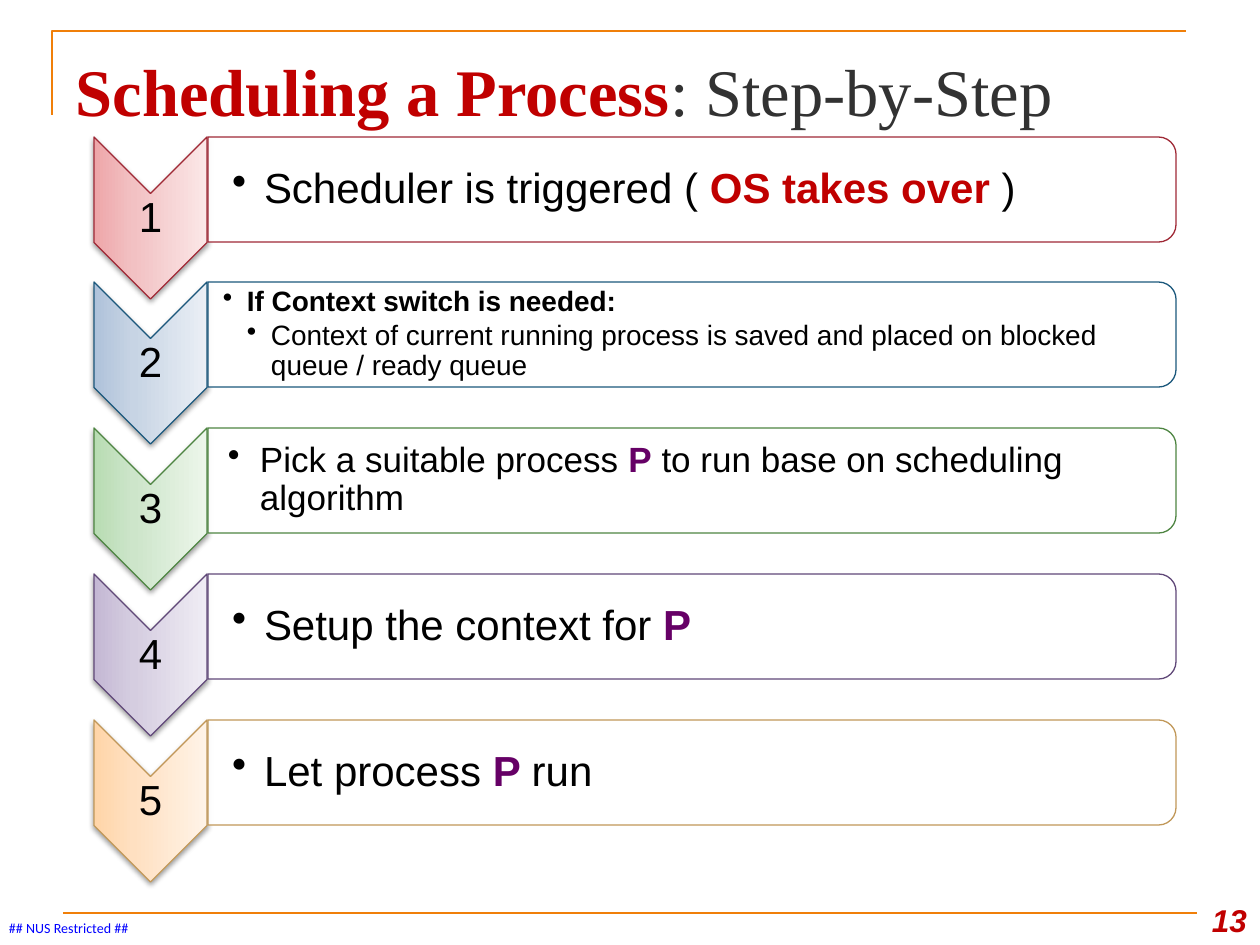
"""Build the slide on scheduling a process, step by step."""
from lxml import etree
from pptx import Presentation
from pptx import util as u
from pptx.dml.color import RGBColor
from pptx.enum import shapes, text
from pptx.oxml import ns, parse_xml

SCALE = 914400 / 126
BLACK = RGBColor(0, 0, 0)
WHITE = RGBColor(255, 255, 255)
RED = RGBColor(0xC0, 0x00, 0x00)
PURPLE = RGBColor(0x66, 0x00, 0x66)
ORANGE = RGBColor(0xF0, 0x7F, 0x09)
BLUE = RGBColor(0x00, 0x00, 0xFF)
GREY = RGBColor(0x32, 0x32, 0x32)
MAROON = RGBColor(0x9F, 0x29, 0x36)
TEAL = RGBColor(0x1B, 0x58, 0x7C)
GREEN = RGBColor(0x4E, 0x85, 0x42)
VIOLET = RGBColor(0x60, 0x48, 0x78)
TAN = RGBColor(0xC1, 0x98, 0x59)
GRADIENTS = {
    MAROON: (RGBColor(0xEE, 0xA6, 0xA9), RGBColor(0xF2, 0xC1, 0xC3), RGBColor(0xFB, 0xE7, 0xE7)),
    TEAL: (RGBColor(0xAF, 0xC2, 0xDA), RGBColor(0xC7, 0xD4, 0xE4), RGBColor(0xEA, 0xEF, 0xF5)),
    GREEN: (RGBColor(0xB8, 0xDC, 0xB3), RGBColor(0xCD, 0xE5, 0xCA), RGBColor(0xEC, 0xF6, 0xEA)),
    VIOLET: (RGBColor(0xC4, 0xB8, 0xD4), RGBColor(0xD5, 0xCD, 0xE0), RGBColor(0xEF, 0xEC, 0xF4)),
    TAN: (RGBColor(0xFF, 0xD5, 0xA8), RGBColor(0xFF, 0xE0, 0xC1), RGBColor(0xFF, 0xF3, 0xE7)),
}
KEY = {"bold": True, "color": PURPLE}
LARGE = {"size": 24, "inset": 24, "edge": 2, "indent": 32}
MEDIUM = {"size": 20, "inset": 20, "edge": 1, "indent": 32}
SMALL = {"size": 16, "inset": 15, "edge": 1, "indent": 24}
STEPS = [
    (MAROON, LARGE, [[("Scheduler is triggered ( ", {}),
                      ("OS takes over ", {"bold": True, "color": RED}), (")", {})]]),
    (TEAL, SMALL, [[("If Context switch is needed:", {"bold": True})],
                   [("Context of current running process is saved and placed on "
                     "blocked queue / ready queue", {})]]),
    (GREEN, MEDIUM, [[("Pick a suitable process ", {}), ("P", KEY),
                      (" to run base on scheduling algorithm", {})]]),
    (VIOLET, LARGE, [[("Setup the context for ", {}), ("P", KEY)]]),
    (TAN, LARGE, [[("Let process ", {}), ("P ", KEY), ("run", {})]]),
]
FIRST_TOP, ALL_PITCHES = 137, 583
ARROW_LEFT, ARROW_WIDTH, ARROW_LENGTH = 94, 113, 162
BOX_LEFT, BOX_WIDTH, BOX_HEIGHT = 208, 968, 105


def px(*lengths):
    """Turn pixel lengths into EMU."""
    return [u.Emu(round(length * SCALE)) for length in lengths]


def set_all(target, values):
    """Set each named attribute of the target."""
    for name, value in values.items():
        setattr(target, name, value)


def add_run(paragraph, words, size, color=BLACK, name="Arial", **values):
    """Add one formatted run."""
    run = paragraph.add_run()
    run.text = words
    set_all(run.font, {"size": u.Pt(size), "name": name, **values})
    run.font.color.rgb = color


def format_frame(frame, margins, anchor, wrap=True):
    """Set left, top, right and bottom insets, anchor and wrapping."""
    sides = ("margin_left", "margin_top", "margin_right", "margin_bottom")
    set_all(frame, {**dict(zip(sides, px(*margins))),
                    "vertical_anchor": anchor, "word_wrap": wrap})


def add_text(slide, box, margins, anchor=text.MSO_ANCHOR.MIDDLE, wrap=True):
    """Add a text box and return its frame."""
    frame = slide.shapes.add_textbox(*px(*box)).text_frame
    format_frame(frame, margins, anchor, wrap)
    return frame


def add_turned_shape(slide, kind, left, top, width, height, color):
    """Add a preset turned by a quarter that covers the given area."""
    turned_left = left + (width - height) / 2
    turned_top = top + (height - width) / 2
    shape = slide.shapes.add_shape(kind, *px(turned_left, turned_top, height, width))
    shape.rotation = 90
    shape.shadow.inherit = False
    shape.line.color.rgb = color
    shape.line.width = u.Pt(0.75)
    return shape


def add_arrow(slide, top, color, number):
    """Add a shaded downward chevron and its number."""
    shape = add_turned_shape(slide, shapes.MSO_SHAPE.CHEVRON, ARROW_LEFT, top,
                             ARROW_WIDTH, ARROW_LENGTH, color)
    shape.fill.background()
    stops = "".join(f'<a:gs pos="{place}"><a:srgbClr val="{stop}"/></a:gs>'
                    for place, stop in zip((0, 35000, 100000), GRADIENTS[color]))
    properties = shape.element.spPr
    properties.replace(properties.find(ns.qn("a:noFill")), parse_xml(
        f'<a:gradFill {ns.nsdecls("a")} rotWithShape="1"><a:gsLst>{stops}</a:gsLst>'
        '<a:lin ang="16200000" scaled="1"/></a:gradFill>'))
    properties.find(ns.qn("a:effectLst")).append(parse_xml(
        f'<a:outerShdw {ns.nsdecls("a")} blurRad="40000" dist="20000" dir="5400000" '
        'rotWithShape="0"><a:srgbClr val="000000"><a:alpha val="38000"/></a:srgbClr>'
        '</a:outerShdw>'))
    frame = add_text(slide, (ARROW_LEFT, top + 57, ARROW_WIDTH, 49), (2, 2, 2, 2))
    paragraph = frame.paragraphs[0]
    set_all(paragraph, {"alignment": text.PP_ALIGN.CENTER, "line_spacing": 0.9,
                        "space_after": u.Pt(8.4)})
    add_run(paragraph, str(number), 24)


def add_bullet(paragraph, level, indent):
    """Give the paragraph a hanging bullet at its level."""
    paragraph.level = level
    properties = paragraph._p.get_or_add_pPr()
    hang, margin = px(indent, indent * level)
    properties.set("marL", str(margin))
    properties.set("indent", str(-hang))
    etree.SubElement(properties, ns.qn("a:buChar"), char="•")


def add_box(slide, top, color, style, lines):
    """Add a rounded box and its bulleted text."""
    shape = add_turned_shape(slide, shapes.MSO_SHAPE.ROUND_2_SAME_RECTANGLE, BOX_LEFT, top,
                             BOX_WIDTH, BOX_HEIGHT, color)
    shape.fill.solid()
    shape.fill.fore_color.rgb = WHITE
    white = shape.element.spPr.find(ns.qn("a:solidFill"))[0]
    etree.SubElement(white, ns.qn("a:alpha"), val="90000")
    edge, size = style["edge"], style["size"]
    frame = add_text(slide, (BOX_LEFT, top + 5, BOX_WIDTH - 5, BOX_HEIGHT - 10),
                     (style["inset"], edge, edge, edge))
    for level, runs in enumerate(lines, 1):
        paragraph = frame.paragraphs[0] if level == 1 else frame.add_paragraph()
        add_bullet(paragraph, level, style["indent"])
        set_all(paragraph, {"line_spacing": 0.9, "space_after": u.Pt(size * 0.15)})
        for words, values in runs:
            add_run(paragraph, words, size, **values)


def add_rules(slide):
    """Add the corner rule above and the straight rule below."""
    builder = slide.shapes.build_freeform(*px(52, 115))
    builder.add_line_segments([px(52, 31), px(1186, 31)], close=False)
    corner = builder.convert_to_shape()
    corner.fill.background()
    corner.shadow.inherit = False
    rule = slide.shapes.add_connector(shapes.MSO_CONNECTOR.STRAIGHT, *px(63, 913, 1197, 913))
    etree.SubElement(rule.element.spPr, ns.qn("a:effectLst"))
    for shape in (corner, rule):
        shape.line.color.rgb = ORANGE
        shape.line.width = u.Pt(1.5)


def add_footer(slide):
    """Add the restriction mark and the slide number."""
    mark = add_text(slide, (9, 920, 122, 16), (0, 0, 0, 0), text.MSO_ANCHOR.TOP, wrap=False)
    add_run(mark.paragraphs[0], "## NUS Restricted ##", 8, BLUE, "Calibri")
    number = add_text(slide, (1187, 882, 73, 63), (13, 6, 13, 6), text.MSO_ANCHOR.BOTTOM)
    number.paragraphs[0].alignment = text.PP_ALIGN.RIGHT
    add_run(number.paragraphs[0], "13", 18, RED, bold=True, italic=True)


def fill_title(slide):
    """Place and format the title."""
    title = slide.shapes.title
    set_all(title, dict(zip(("left", "top", "width", "height"), px(63, 38, 1134, 98))))
    format_frame(title.text_frame, (13, 6, 13, 6), text.MSO_ANCHOR.BOTTOM)
    paragraph = title.text_frame.paragraphs[0]
    paragraph.alignment = text.PP_ALIGN.LEFT
    add_run(paragraph, "Scheduling a Process", 38, RED, "Times New Roman", bold=True)
    add_run(paragraph, ": Step-by-Step", 38, GREY, "Times New Roman")


def main():
    """Build and save the presentation."""
    presentation = Presentation()
    presentation.slide_width, presentation.slide_height = px(1260, 945)
    slide = presentation.slides.add_slide(presentation.slide_layouts[5])
    add_rules(slide)
    add_footer(slide)
    fill_title(slide)
    for index, (color, style, lines) in enumerate(STEPS):
        top = FIRST_TOP + index * ALL_PITCHES // (len(STEPS) - 1)
        add_arrow(slide, top, color, index + 1)
        add_box(slide, top, color, style, lines)
    presentation.save("out.pptx")


if __name__ == "__main__":
    main()
